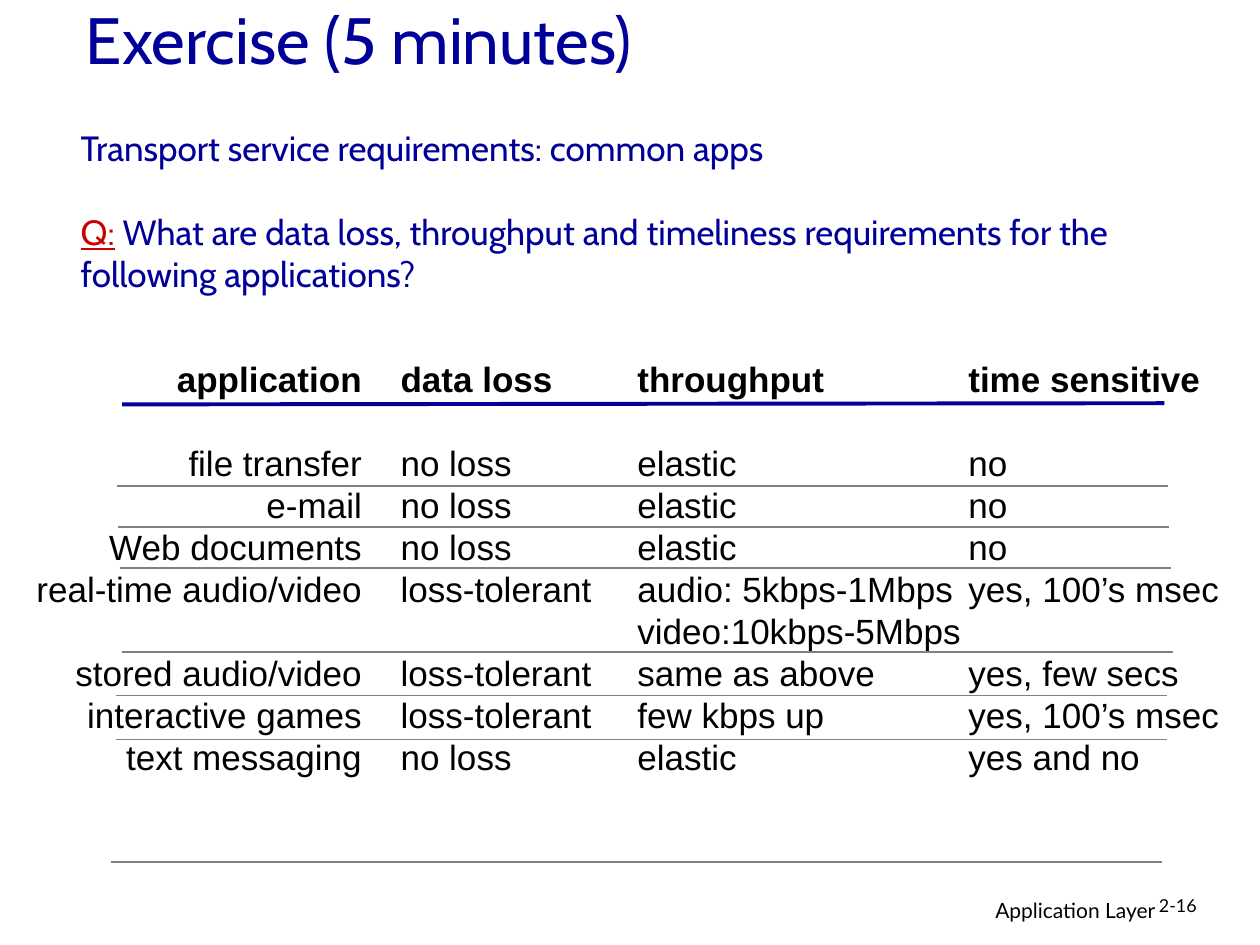
from lxml.etree import SubElement as Sub
from pptx import Presentation
from pptx.dml.color import RGBColor
from pptx.enum.shapes import MSO_CONNECTOR as Conn
from pptx.enum.text import MSO_ANCHOR as Anchor, MSO_AUTO_SIZE as Auto, PP_ALIGN as Align
from pptx.oxml.ns import qn
from pptx.util import Pt

NAVY = RGBColor(0x00, 0x00, 0x99)
RED = RGBColor(0xCC, 0x00, 0x00)
GRAY = RGBColor(0x80, 0x80, 0x80)
BLACK = RGBColor(0x00, 0x00, 0x00)

ROW = 24  # height of one text line in the grid

# left, width, alignment, lines; None leaves a line open
COLUMNS = [
    (0, 200.2, Align.RIGHT,
     ["application", None, "file transfer", "e-mail", "Web documents",
      "real-time audio/video", None, "stored audio/video",
      "interactive games", "text messaging"]),
    (208.1, 126, Align.LEFT,
     ["data loss", None, "no loss", "no loss", "no loss", "loss-tolerant",
      None, "loss-tolerant", "loss-tolerant", "no loss"]),
    (343.4, 203, Align.LEFT,
     ["throughput", None, "elastic", "elastic", "elastic",
      "audio: 5kbps-1Mbps", "video:10kbps-5Mbps", "same as above",
      "few kbps up", "elastic"]),
    (532.6, 162.7, Align.LEFT,
     ["time sensitive", None, "no", "no", "no", "yes, 100’s msec", None,
      "yes, few secs", "yes, 100’s msec", "yes and no"]),
]

# left and top of each row rule
RULES = [(53.3, 77), (54, 100.1), (54.7, 123.8), (56.1, 171.5),
         (52.5, 196.5), (52.5, 221.7), (49.7, 291.6)]
RULE_W = 600.5


def place(shape, x, y, w, h):
    shape.left, shape.top, shape.width, shape.height = map(Pt, (x, y, w, h))


def style(para, name, size, color, bold=False):
    font = para.font
    font.name, font.size, font.bold = name, Pt(size), bold
    font.color.rgb = color


def add_text(slide, x, y, w, h):
    """Add an empty text box and return its frame."""
    frame = slide.shapes.add_textbox(Pt(x), Pt(y), Pt(w), Pt(h)).text_frame
    frame.word_wrap = True
    return frame


def add_rule(slide, x1, y1, x2, y2, color, width):
    rule = slide.shapes.add_connector(
        Conn.STRAIGHT, Pt(x1), Pt(y1), Pt(x2), Pt(y2))
    rule.line.color.rgb = color
    rule.line.width = Pt(width)
    Sub(rule._element.spPr, qn("a:effectLst"))


def fill_title(slide, x, y, w, h):
    title = slide.shapes.title
    place(title, x, y, w, h)
    frame = title.text_frame
    frame.text = "Exercise (5 minutes)"
    frame.auto_size = Auto.NONE
    frame.vertical_anchor = Anchor.MIDDLE
    para = frame.paragraphs[0]
    para.alignment = Align.LEFT
    para.line_spacing = 0.9
    style(para, "Cabin", 37.4, NAVY)


def fill_intro(slide, x, y, w, h):
    body = slide.placeholders[1]
    place(body, x, y, w, h)
    frame = body.text_frame
    frame.auto_size = Auto.NONE
    frame.vertical_anchor = Anchor.MIDDLE
    topic, question = frame.paragraphs[0], frame.add_paragraph()
    topic.add_run().text = "Transport service requirements: common apps"
    mark = question.add_run()
    mark.text = "Q:"
    mark.font.underline = True
    mark.font.color.rgb = RED
    question.add_run().text = (
        " What are data loss, throughput and timeliness requirements"
        " for the following applications?")
    for para, gap in ((topic, 0), (question, ROW)):
        props = para._p.get_or_add_pPr()
        props.set("marL", "0")
        props.set("indent", "0")
        Sub(props, qn("a:buNone"))
        para.space_before = Pt(gap)
        style(para, "Cabin", 20, NAVY)


def add_column(slide, x, y, w, h, align, lines):
    frame = add_text(slide, x, y, w, h)
    para, gap = frame.paragraphs[0], 0
    for i, line in enumerate(lines):
        if line is None:
            gap += ROW
            continue
        if i:
            para = frame.add_paragraph()
        para.text = line
        para.alignment = align
        para.line_spacing = Pt(ROW)
        para.space_before = Pt(gap)
        style(para, "Arial", 20, BLACK, bold=i == 0)
        gap = 0


def add_grid(slide, x, y, h):
    for left, width, align, lines in COLUMNS:
        add_column(slide, x + left, y, width, h, align, lines)
    add_rule(slide, x + 56.1, y + 30.2, x + 651.6, y + 29.5, NAVY, 2.25)
    for left, top in RULES:
        add_rule(slide, x + left, y + top, x + left + RULE_W, y + top, GRAY, 1)


def add_footer(slide, x, y, h):
    parts = [("Application Layer", 0, 228.2, 12, Align.RIGHT, 1.0),
             ("2-16", 216, 53.3, 10.2, Align.LEFT, 0.9)]
    for text, left, width, size, align, space in parts:
        para = add_text(slide, x + left, y, width, h).paragraphs[0]
        para.text = text
        para.alignment = align
        para.line_spacing = space
        style(para, "Lato", size, BLACK)


def main():
    deck = Presentation()
    deck.slide_width, deck.slide_height = Pt(720), Pt(540)
    slide = deck.slides.add_slide(deck.slide_layouts[1])
    fill_title(slide, 41.8, -1.4, 612, 52.6)
    fill_intro(slide, 38.9, 57.4, 612, 126)
    add_grid(slide, 13.7, 200.9, 247.7)
    add_footer(slide, 439.2, 509.2, 22)
    deck.save("out.pptx")


if __name__ == "__main__":
    main()
